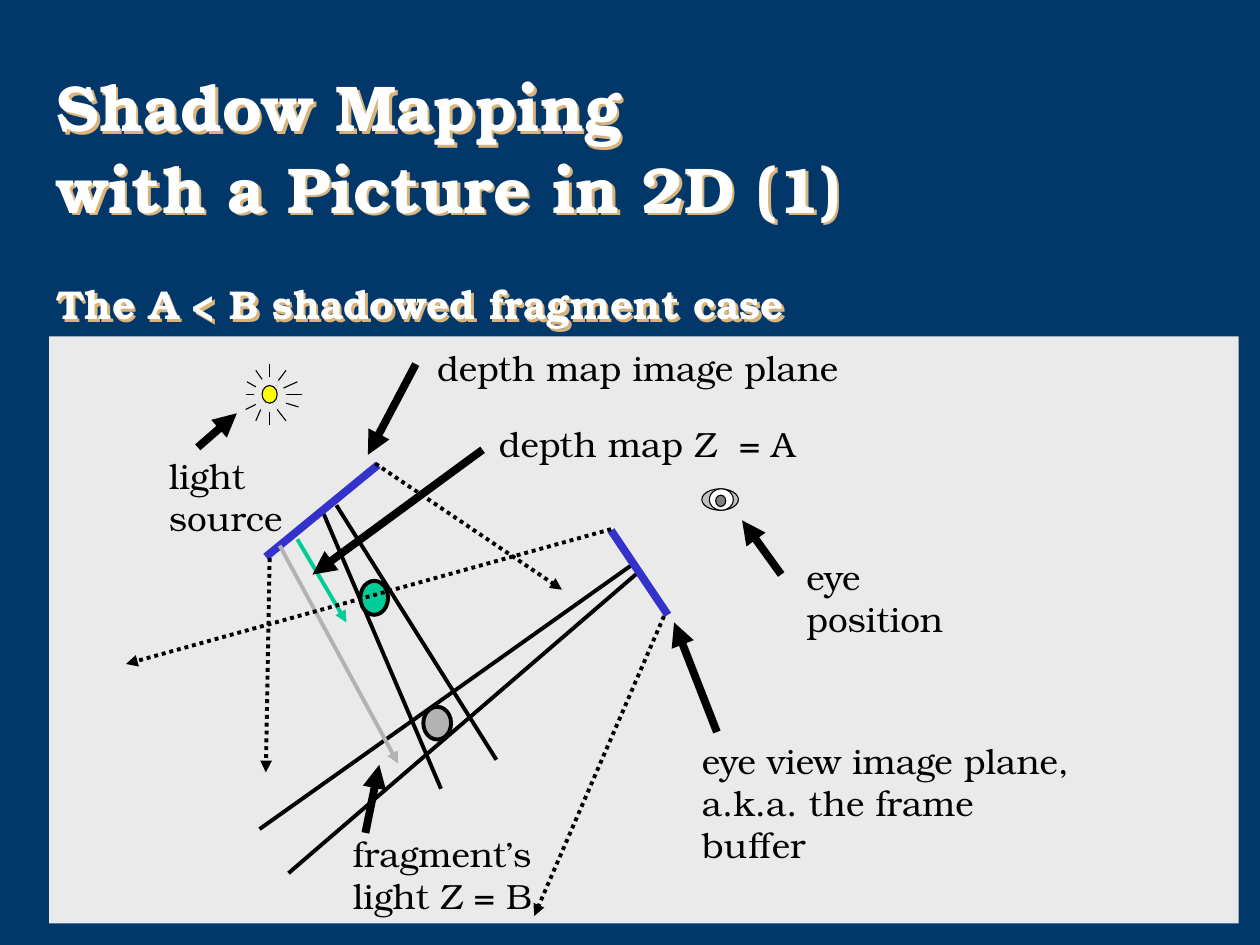
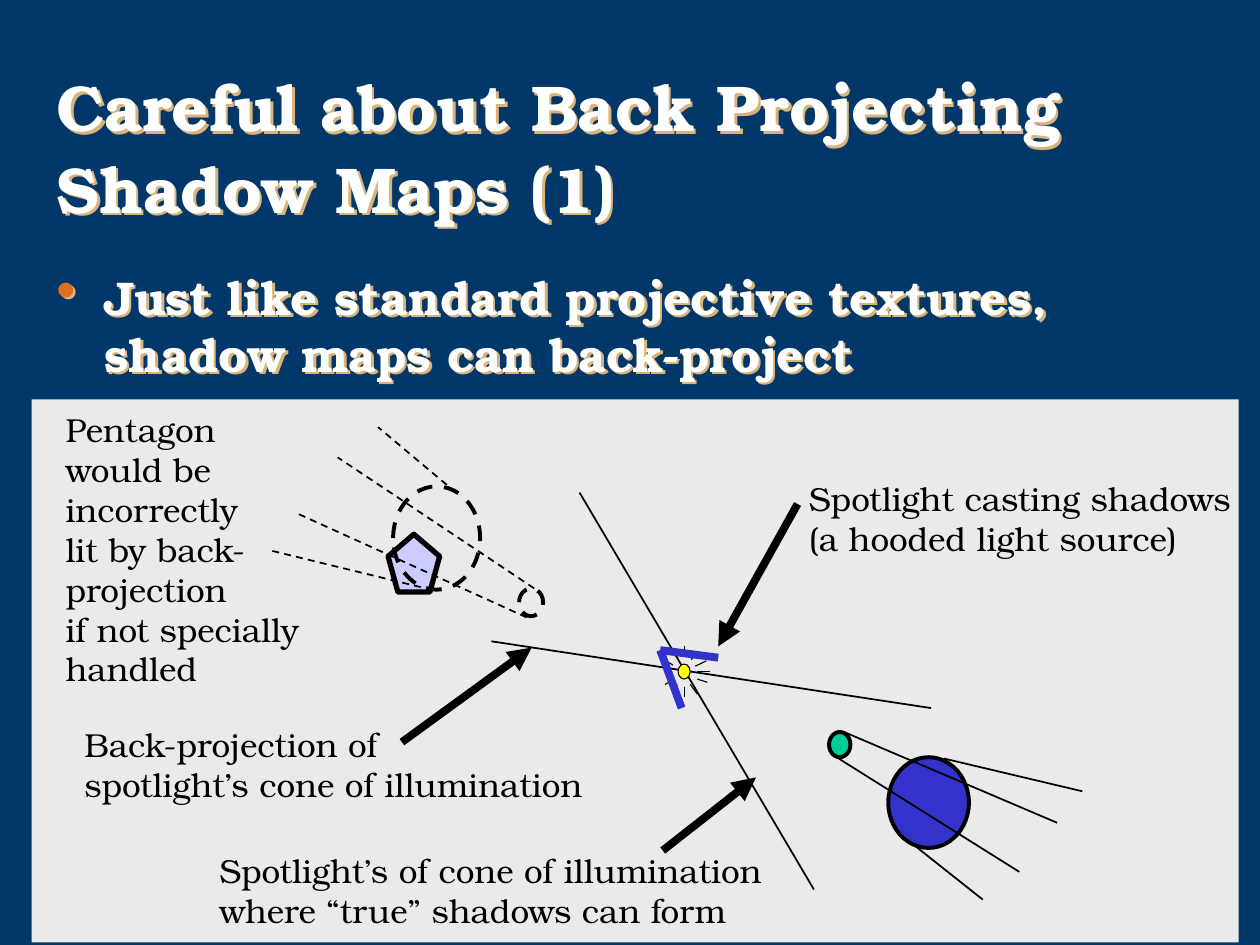
import pptx
import pptx.dml.color
import pptx.enum.dml
import pptx.enum.shapes
import pptx.enum.text
import pptx.oxml
import pptx.oxml.ns
import pptx.util

Inches = pptx.util.Inches
Pt = pptx.util.Pt
RGBColor = pptx.dml.color.RGBColor
Preset = pptx.enum.shapes.MSO_SHAPE
Dash = pptx.enum.dml.MSO_LINE

FONT = "TeX Gyre Bonum"
NAVY = RGBColor(0x01, 0x37, 0x69)
PANEL_GRAY = RGBColor(0xEA, 0xEA, 0xEA)
WHITE = RGBColor(0xFF, 0xFF, 0xFF)
BLACK = RGBColor(0x00, 0x00, 0x00)
BLUE = RGBColor(0x33, 0x33, 0xCC)
LILAC = RGBColor(0xCC, 0xCC, 0xFF)
GREEN = RGBColor(0x00, 0xCC, 0x99)
YELLOW = RGBColor(0xFF, 0xFF, 0x00)
FRAGMENT_GRAY = RGBColor(0xB2, 0xB2, 0xB2)
EYE_GRAY = RGBColor(0xC0, 0xC0, 0xC0)
PUPIL_GRAY = RGBColor(0x80, 0x80, 0x80)
BULLET_ORANGE = RGBColor(0xE0, 0x6F, 0x1D)
TEXT_SHADOW = RGBColor(0xD9, 0xB3, 0x7A)

# name: (colour, points, dash, arrowhead)
STROKES = {
    "hair": (BLACK, 0.62, None, False),
    "thin": (BLACK, 1, None, False),
    "thin dashed": (BLACK, 1, Dash.DASH, False),
    "sight": (BLACK, 2.25, None, False),
    "hidden": (BLACK, 2.25, Dash.DASH, False),
    "frustum": (BLACK, 2.25, Dash.ROUND_DOT, True),
    "outline": (BLACK, 3, None, False),
    "pointer": (BLACK, 4.5, None, True),
    "plane": (BLUE, 4.5, None, False),
    "depth A": (GREEN, 2.25, None, True),
    "depth B": (FRAGMENT_GRAY, 2.25, None, True),
}

# Ray ends relative to the centre of the light
SUN_RAYS = [
    (0, -0.14, 0, -0.24), (0, 0.14, 0, 0.24),
    (0.07, -0.11, 0.13, -0.19), (0.11, -0.05, 0.22, -0.1),
    (0.06, 0.12, 0.13, 0.21), (0.13, 0.07, 0.23, 0.1),
    (-0.06, -0.12, -0.11, -0.19), (-0.11, -0.06, -0.18, -0.1),
    (-0.07, 0.12, -0.11, 0.21), (-0.11, 0.08, -0.19, 0.12),
    (0.13, 0, 0.26, 0), (-0.12, 0, -0.19, 0),
]

SLIDES = [
    {
        "title": ["Shadow Mapping", "with a Picture in 2D (1)"],
        "title_width": 6.99,
        "panel": (0.39, 2.67, 9.44, 4.66),
        "body": "The A < B shadowed fragment case",
        "body_top": 2.17, "body_size": 23, "body_gap": 5.8, "bullet": False,
        "label_size": 20,
        "drawing": [
            ("solid", Preset.OVAL, (5.57, 3.88, 0.29, 0.17), EYE_GRAY, "hair"),
            ("solid", Preset.OVAL, (5.63, 3.88, 0.19, 0.17), WHITE, "hair"),
            ("solid", Preset.OVAL, (5.68, 3.93, 0.08, 0.09), PUPIL_GRAY, "hair"),
            ("sun", (2.14, 3.13), (1, 1)),
            ("lines", "sight", [(2.57, 4.08, 3.5, 6.26), (2.67, 4.01, 3.94, 6.03)]),
            ("solid", Preset.OVAL, (2.86, 4.61, 0.22, 0.27), GREEN, "sight"),
            ("lines", "sight", [(5.02, 4.48, 2.06, 6.58), (5.08, 4.53, 2.29, 6.93)]),
            ("solid", Preset.OVAL, (3.36, 5.61, 0.22, 0.26), FRAGMENT_GRAY, "sight"),
            ("lines", "plane", [(2.11, 4.42, 3, 3.69), (4.85, 4.21, 5.3, 4.88)]),
            ("lines", "depth A", [(2.36, 4.28, 2.75, 4.94)]),
            ("lines", "depth B", [(2.22, 4.33, 3.16, 6.06)]),
            ("lines", "pointer", [
                (1.57, 3.55, 1.88, 3.28), (6.2, 4.56, 5.89, 4.13),
                (3.83, 3.57, 2.48, 4.56), (2.9, 6.61, 3.01, 6.07),
                (3.3, 2.89, 2.92, 3.61), (5.69, 5.81, 5.35, 4.94)]),
            ("lines", "frustum", [
                (4.85, 4.2, 1, 5.27), (5.27, 4.89, 4.24, 7.27),
                (2.14, 4.43, 2.11, 6.13), (2.98, 3.68, 4.46, 4.68)]),
        ],
        "labels": [
            ((1.34, 3.61, 0.99, 0.67), ["light", "source"]),
            ((6.4, 4.41, 1.18, 0.67), ["eye", "position"]),
            ((3.96, 3.35, 2.36, 0.33), ["depth map Z  = A"]),
            ((2.8, 6.61, 1.43, 0.67), ["fragment’s", "light Z = B"]),
            ((3.47, 2.75, 3.19, 0.33), ["depth map image plane"]),
            ((5.57, 5.87, 3.05, 1),
             ["eye view image plane,", "a.k.a. the frame", "buffer"]),
        ],
    },
    {
        "title": ["Careful about Back Projecting Shadow Maps (1)"],
        "title_width": 8.74,
        "panel": (0.25, 3.17, 9.58, 4.31),
        "body": "Just like standard projective textures, shadow maps can back-project",
        "body_top": 2.08, "body_size": 27, "body_gap": 6.8, "bullet": True,
        "label_size": 19,
        "drawing": [
            ("lines", "thin", [(4.6, 3.91, 6.46, 7.06), (3.9, 5.09, 7.39, 5.62)]),
            ("sun", (5.43, 5.33), (0.8, 0.85)),
            ("lines", "plane", [(5.24, 5.16, 5.41, 5.62), (5.24, 5.16, 5.7, 5.22)]),
            ("solid", Preset.OVAL, (7.05, 6.01, 0.64, 0.72), BLUE, "sight"),
            ("solid", Preset.OVAL, (6.58, 5.81, 0.17, 0.2), GREEN, "sight"),
            ("lines", "thin", [
                (6.64, 6.01, 8.09, 6.92), (6.7, 5.81, 8.39, 6.53),
                (7.22, 6.68, 7.8, 7.14), (7.49, 6.02, 8.59, 6.28)]),
            ("solid", Preset.REGULAR_PENTAGON, (3.08, 4.24, 0.41, 0.46), LILAC, "outline"),
            ("solid", Preset.OVAL, (3.12, 3.86, 0.69, 0.82), None, "hidden"),
            ("solid", Preset.OVAL, (4.12, 4.67, 0.19, 0.22), None, "hidden"),
            ("lines", "thin dashed", [
                (4.24, 4.67, 2.68, 3.63), (4.18, 4.9, 2.37, 4.08),
                (3.62, 3.91, 3, 3.39), (3.34, 4.66, 2.15, 4.37)]),
            ("lines", "pointer", [
                (6.33, 4, 5.7, 5.13), (5.26, 6.75, 6, 6.17), (3.19, 5.89, 4.22, 5.14)]),
        ],
        "labels": [
            ((6.42, 3.8, 3.37, 0.63),
             ["Spotlight casting shadows", "(a hooded light source)"]),
            ((0.67, 5.75, 3.97, 0.63),
             ["Back-projection of", "spotlight’s cone of illumination"]),
            ((0.52, 3.25, 1.89, 2.53),
             ["Pentagon would be incorrectly", "lit by back-projection",
              "if not specially handled"], True),
            ((1.74, 6.75, 4.32, 0.63),
             ["Spotlight’s of cone of illumination", "where “true” shadows can form"]),
        ],
    },
]


def add_xml(parent, tag, **attributes):
    child = parent.makeelement(pptx.oxml.ns.qn(tag), attributes)
    parent.append(child)
    return child


def apply_stroke(shape, name):
    color, points, dash, arrowhead = STROKES[name]
    shape.line.color.rgb = color
    shape.line.width = Pt(points)
    if dash:
        shape.line.dash_style = dash
    if arrowhead:
        outline = shape.element.spPr.find(pptx.oxml.ns.qn("a:ln"))
        add_xml(outline, "a:tailEnd", type="triangle")


def draw_lines(slide, stroke, segments):
    for segment in segments:
        connector = slide.shapes.add_connector(
            pptx.enum.shapes.MSO_CONNECTOR.STRAIGHT, *map(Inches, segment))
        apply_stroke(connector, stroke)
        add_xml(connector.element.spPr, "a:effectLst")


def draw_solid(slide, preset, box, fill, stroke=None):
    solid = slide.shapes.add_shape(preset, *map(Inches, box))
    solid.shadow.inherit = False
    if fill is None:
        solid.fill.background()
    else:
        solid.fill.solid()
        solid.fill.fore_color.rgb = fill
    if stroke:
        apply_stroke(solid, stroke)
    else:
        solid.line.fill.background()


def draw_sun(slide, center, scale):
    (x, y), (sx, sy) = center, scale
    width, height = 0.12 * sx, 0.14 * sy
    draw_solid(slide, Preset.OVAL, (x - width / 2, y - height / 2, width, height),
               YELLOW, "hair")
    draw_lines(slide, "hair", [(x + x1 * sx, y + y1 * sy, x + x2 * sx, y + y2 * sy)
                               for x1, y1, x2, y2 in SUN_RAYS])


def write(paragraph, lines, size, color, bold=False):
    """Put the lines in one paragraph, parted by line breaks."""
    for number, line in enumerate(lines):
        if number:
            paragraph.add_line_break()
        run = paragraph.add_run()
        run.text = line
        run.font.name = FONT
        run.font.size = Pt(size)
        run.font.bold = bold
        run.font.color.rgb = color
    paragraph.alignment = pptx.enum.text.PP_ALIGN.LEFT


def cast_text_shadow(shape):
    effects = add_xml(shape.element.spPr, "a:effectLst")
    shadow = add_xml(effects, "a:outerShdw", dist=str(Pt(2)), dir="2700000",
                     algn="ctr", rotWithShape="0")
    add_xml(shadow, "a:srgbClr", val=str(TEXT_SHADOW))


def add_title(slide, lines, width):
    title = slide.shapes.title
    title.left, title.top, title.width, title.height = map(
        Inches, (0.35, 0.39, width, 1.52))
    frame = title.text_frame
    frame.word_wrap = True
    frame.auto_size = pptx.enum.text.MSO_AUTO_SIZE.NONE
    frame.vertical_anchor = pptx.enum.text.MSO_ANCHOR.MIDDLE
    paragraph = frame.paragraphs[0]
    paragraph.line_spacing = 1.05
    write(paragraph, lines, 37, WHITE, bold=True)
    cast_text_shadow(title)


def add_body(slide, content):
    body = slide.shapes.add_textbox(
        *map(Inches, (0.35, content["body_top"], 9.3, 4.5)))
    body.text_frame.word_wrap = True
    paragraph = body.text_frame.paragraphs[0]
    write(paragraph, [content["body"]], content["body_size"], WHITE, bold=True)
    paragraph.space_before = Pt(content["body_gap"])
    properties = paragraph.alignment is not None and paragraph._p.get_or_add_pPr()
    properties.set("marL", str(Inches(0.38)))
    properties.set("indent", str(Inches(-0.38)))
    if content["bullet"]:
        bullet_color = add_xml(properties, "a:buClr")
        add_xml(bullet_color, "a:srgbClr", val=str(BULLET_ORANGE))
        add_xml(properties, "a:buSzPct", val="120000")
        add_xml(properties, "a:buChar", char="•")
    cast_text_shadow(body)


def add_label(slide, size, box, lines, wrap=False):
    label = slide.shapes.add_textbox(*map(Inches, box))
    frame = label.text_frame
    frame.margin_left = frame.margin_right = frame.margin_top = frame.margin_bottom = 0
    frame.word_wrap = wrap
    write(frame.paragraphs[0], lines, size, BLACK)


def main():
    draw = {"lines": draw_lines, "solid": draw_solid, "sun": draw_sun}
    deck = pptx.Presentation()
    deck.slide_width, deck.slide_height = Inches(10), Inches(7.5)
    background = deck.slide_master.background.fill
    background.solid()
    background.fore_color.rgb = NAVY
    for content in SLIDES:
        slide = deck.slides.add_slide(deck.slide_layouts[5])
        draw_solid(slide, Preset.RECTANGLE, content["panel"], PANEL_GRAY)
        add_title(slide, content["title"], content["title_width"])
        add_body(slide, content)
        for kind, *details in content["drawing"]:
            draw[kind](slide, *details)
        for label in content["labels"]:
            add_label(slide, content["label_size"], *label)
    deck.save("out.pptx")


if __name__ == "__main__":
    main()
